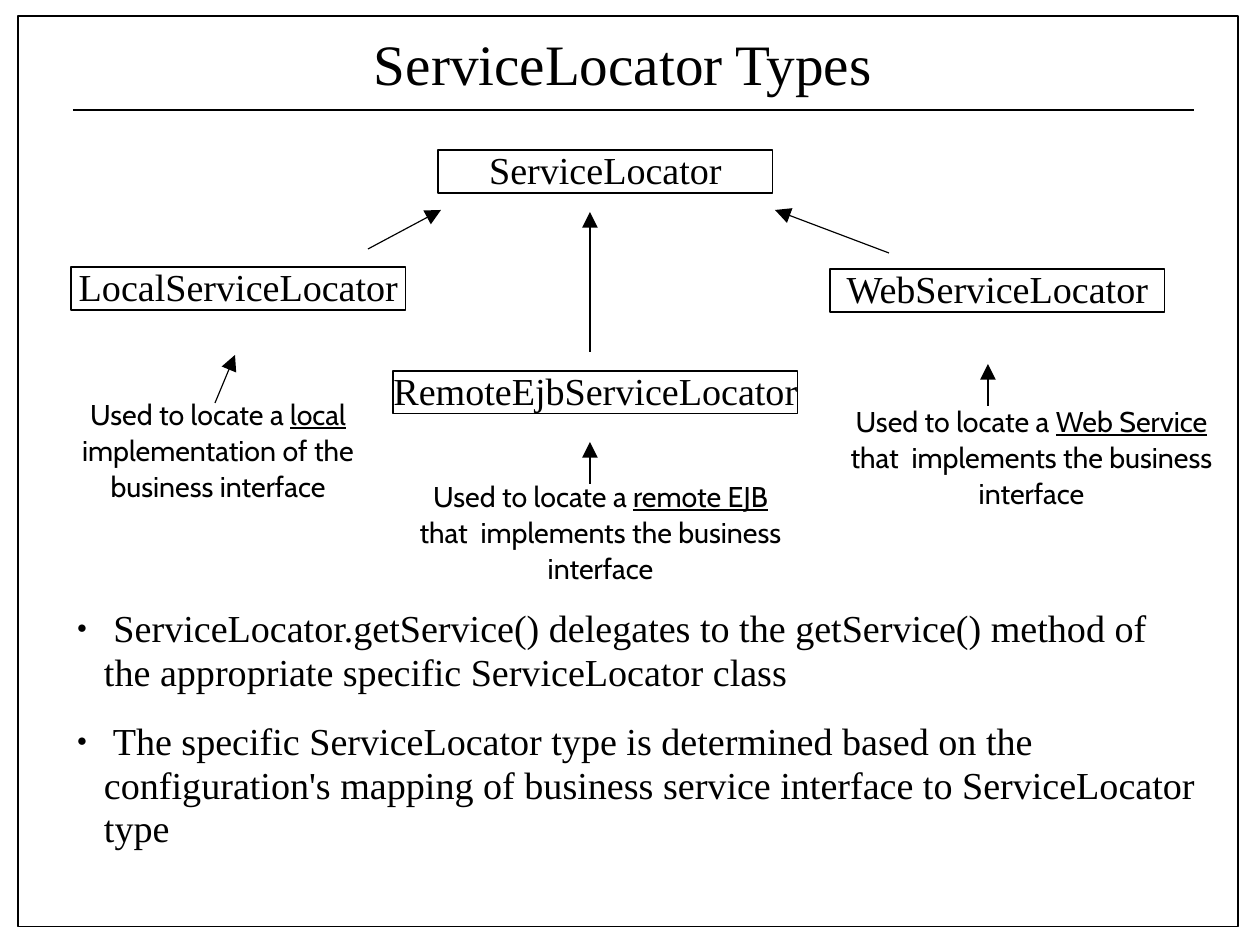
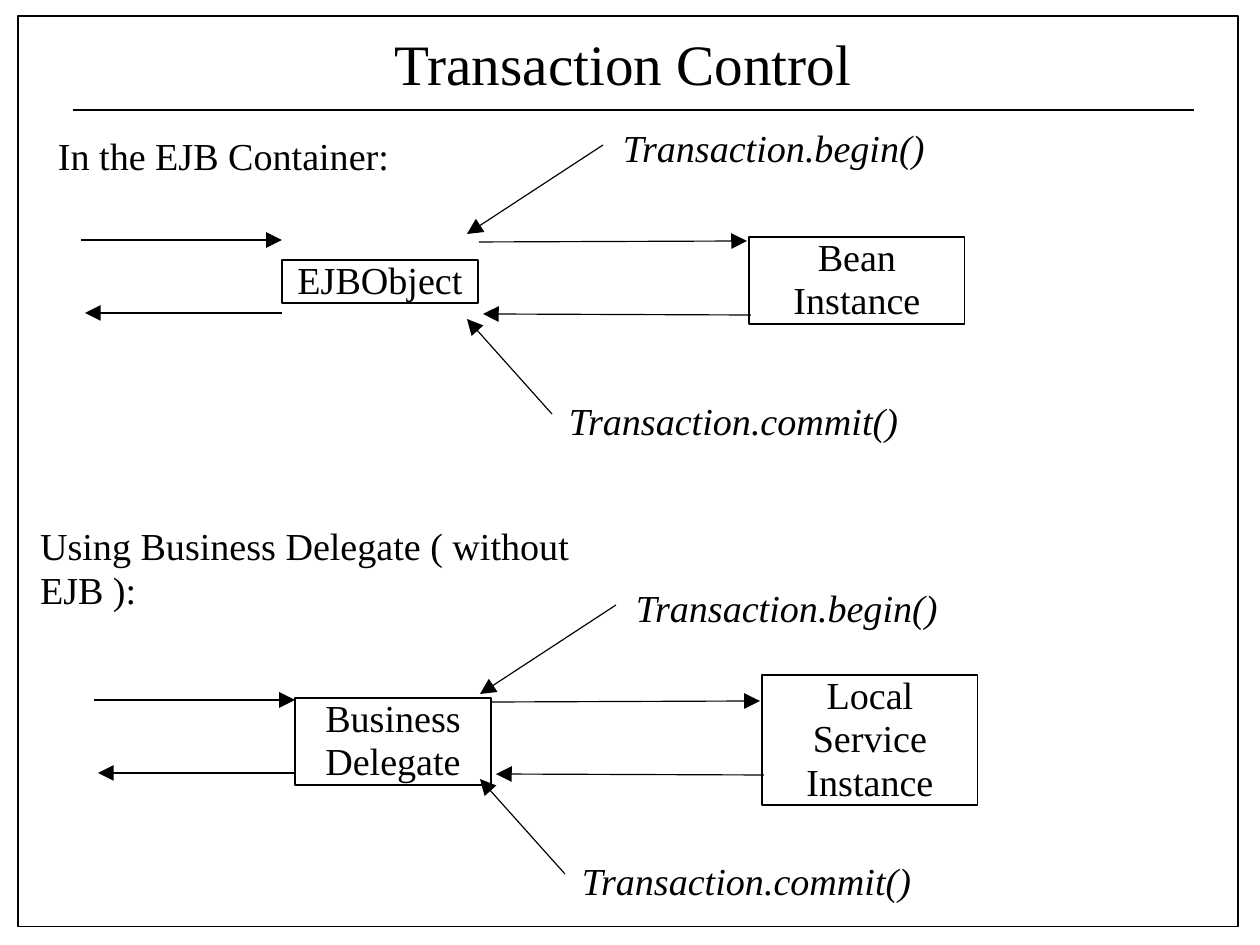
from lxml.etree import SubElement
from pptx import Presentation
from pptx.dml.color import RGBColor
from pptx.enum.shapes import MSO_CONNECTOR, MSO_SHAPE
from pptx.enum.text import MSO_ANCHOR, PP_ALIGN
from pptx.oxml.ns import qn
from pptx.util import Pt

PX = 8000
WIDE, HIGH = 1260, 945
COLORS = {"ink": "000000", "page": "FFFFFF"}
SERIF, SANS = "Times New Roman", "Cabin"
LEAD = {SERIF: 1.14, SANS: 1.26}
LEFT, MID = PP_ALIGN.LEFT, PP_ALIGN.CENTER


def emu(*sizes):
    return [size * PX for size in sizes]


def tint(name):
    return RGBColor.from_string(COLORS[name])


def style(frame, size=24, font=SERIF, align=LEFT, slant=False):
    frame.margin_left = frame.margin_right = 0
    frame.margin_top = frame.margin_bottom = 0
    for para in frame.paragraphs:
        para.alignment = align
        para.line_spacing = Pt(round(size * LEAD[font], 2))
        for run in para.runs:
            run.font.size = Pt(size)
            run.font.name = font
            run.font.italic = slant
            run.font.color.rgb = tint("ink")


def label(slide, box, text, **look):
    frame = slide.shapes.add_textbox(*emu(*box)).text_frame
    frame.word_wrap = True
    frame.text = text
    style(frame, **look)
    return frame


def outline(slide, box, text=""):
    shape = slide.shapes.add_shape(MSO_SHAPE.RECTANGLE, *emu(*box))
    shape.shadow.inherit = False
    shape.fill.background()
    shape.line.color.rgb = tint("ink")
    shape.line.width = Pt(0.75)
    frame = shape.text_frame
    frame.word_wrap = False
    frame.vertical_anchor = MSO_ANCHOR.MIDDLE
    frame.text = text
    style(frame, align=MID)
    frame.margin_bottom = 3 * PX


def stroke(slide, ends, tip=True):
    line = slide.shapes.add_connector(MSO_CONNECTOR.STRAIGHT, *emu(*ends))
    line.line.color.rgb = tint("ink")
    line.line.width = Pt(0.75)
    if tip:
        SubElement(line.line._get_or_add_ln(), qn("a:tailEnd"),
                   type="triangle", w="lg", len="lg")
    SubElement(line._element.spPr, qn("a:effectLst"))


def page(deck, title):
    slide = deck.slides.add_slide(deck.slide_layouts[6])
    slide.background.fill.solid()
    slide.background.fill.fore_color.rgb = tint("page")
    outline(slide, (18, 16, 1220, 911))
    label(slide, (170, 32, 906, 65), title, size=36, align=MID)
    stroke(slide, (73, 110, 1194, 110), tip=False)
    return slide


def note(slide, box, parts, ends):
    x, y, _, _ = box
    frame = label(slide, box, "")
    for index, part in enumerate(parts):
        run = frame.paragraphs[0].add_run()
        run.text = part
        run.font.underline = index == 1
    style(frame, size=18, font=SANS, align=MID)
    x1, y1, x2, y2 = ends
    stroke(slide, (x + x1, y + y1, x + x2, y + y2))


def bullet(slide, box, text):
    para = label(slide, box, text).paragraphs[0]
    props = para._p.get_or_add_pPr()
    props.set("marL", str(27 * PX))
    props.set("indent", str(-27 * PX))
    color = SubElement(props, qn("a:buClr"))
    SubElement(color, qn("a:srgbClr"), val=COLORS["ink"])
    SubElement(props, qn("a:buSzPct"), val="45000")
    SubElement(props, qn("a:buFont"), typeface=SERIF)
    SubElement(props, qn("a:buChar"), char="●")


def types(deck):
    slide = page(deck, "ServiceLocator Types")
    for x, y, wide, name in (
        (438, 150, 335, "ServiceLocator"),
        (71, 267, 335, "LocalServiceLocator"),
        (393, 371, 405, "RemoteEjbServiceLocator"),
        (830, 269, 335, "WebServiceLocator"),
    ):
        outline(slide, (x, y, wide, 43), name)
    for ends in ((368, 249, 441, 210), (590, 352, 590, 212),
                 (889, 253, 775, 210)):
        stroke(slide, ends)
    start = "Used to locate a "
    finish = " that  implements the business interface"
    for box, name, rest, ends in (
        ((57, 395, 322, 109), "local",
         " implementation of the business interface", (158, 8, 178, -40)),
        ((410, 477, 381, 109), "remote EJB", finish, (180, 7, 180, -35)),
        ((841, 402, 381, 109), "Web Service", finish, (147, 4, 147, -38)),
    ):
        note(slide, box, (start, name, rest), ends)
    bullet(slide, (77, 607, 1110, 87),
           " ServiceLocator.getService() delegates to the getService() method "
           "of the appropriate specific ServiceLocator class")
    bullet(slide, (77, 720, 1132, 131),
           " The specific ServiceLocator type is determined based on the "
           "configuration's mapping of business service interface to "
           "ServiceLocator type")


def flow(slide, x, y, near, far):
    for left, wide, mid, text in ((201, 196, 153, near), (668, 216, 152, far)):
        high = 87 * len(text.split("\n")) // 2
        outline(slide, (x + left, y + mid - high // 2, wide, high), text)
    for x1, y1, x2, y2 in (
        (0, 112, 201, 112), (398, 114, 666, 113),
        (670, 187, 402, 186), (201, 185, 4, 185),
        (522, 17, 386, 106), (471, 286, 386, 191),
    ):
        stroke(slide, (x + x1, y + y1, x + x2, y + y2))
    for left, top, wide, call in ((542, -1, 322, "begin"),
                                  (488, 272, 368, "commit")):
        label(slide, (x + left, y + top, wide, 43),
              f"Transaction.{call}()", slant=True)


def control(deck):
    slide = page(deck, "Transaction Control")
    label(slide, (58, 135, 403, 43), "In the EJB Container:")
    flow(slide, 81, 128, "EJBObject", "Bean\nInstance")
    label(slide, (40, 525, 572, 87), "Using Business Delegate ( without EJB ):")
    flow(slide, 94, 588, "Business\nDelegate", "Local\nService\nInstance")


def main():
    deck = Presentation()
    deck.slide_width, deck.slide_height = emu(WIDE, HIGH)
    types(deck)
    control(deck)
    deck.save("out.pptx")


if __name__ == "__main__":
    main()
